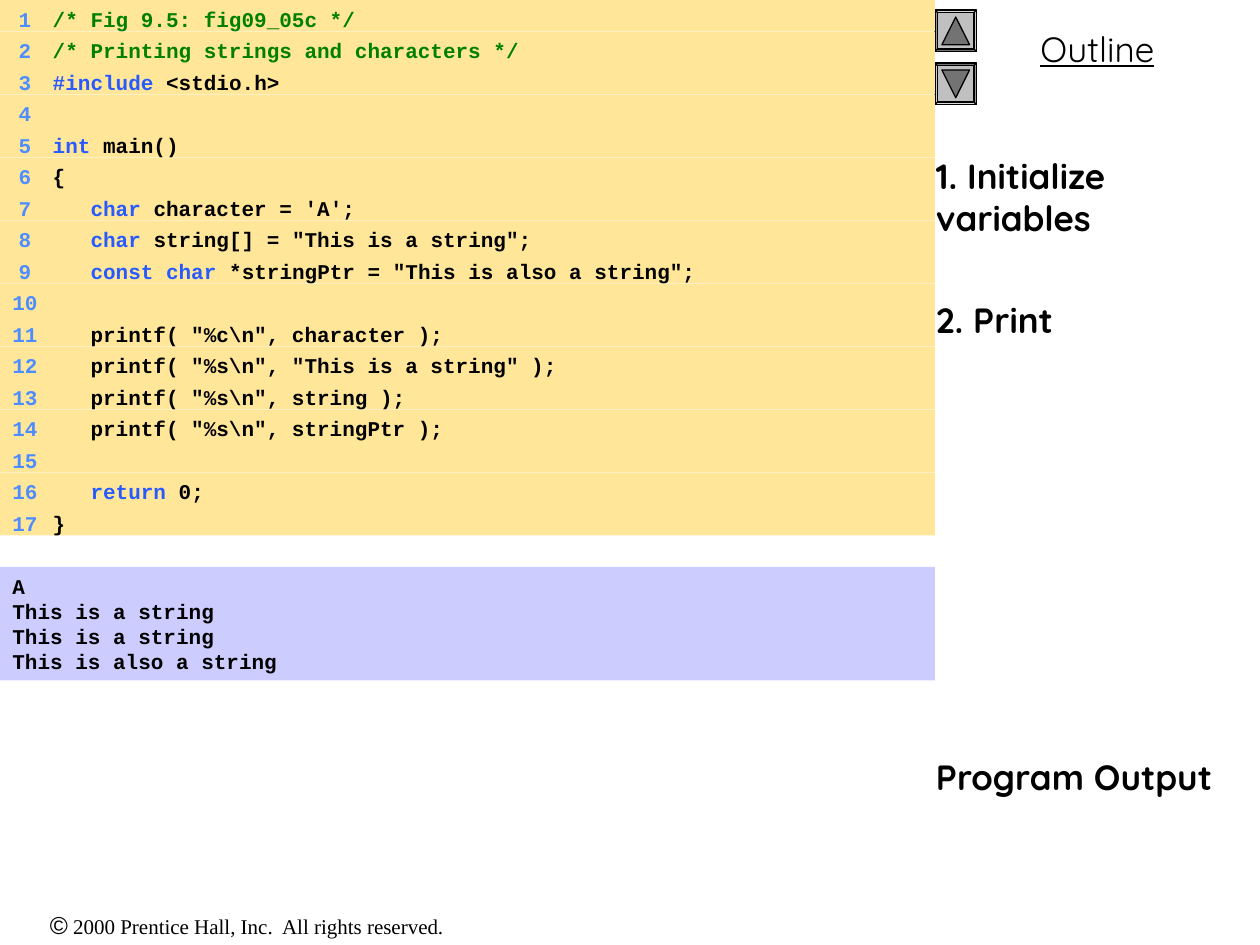
from pptx import Presentation
from pptx.dml.color import RGBColor
from pptx.enum.shapes import MSO_SHAPE
from pptx.enum.text import MSO_ANCHOR, PP_ALIGN
from pptx.oxml.ns import qn
from pptx.util import Inches, Pt
from lxml.etree import SubElement

THEME = {
    "note": "008000", "key": "275AFF", "num": "4D8DFF", "ink": "000000",
    "code": "FFE699", "out": "CCCCFF", "face": "C0C0C0", "mark": "737373",
    "mono": "Courier New", "head": "Quicksand", "sans": "Arial", "serif": "Times New Roman",
    "small": 12, "sign": 14, "large": 20,
}

CODE = [
    [("note", "/* Fig 9.5: fig09_05c */")],
    [("note", "/* Printing strings and characters */")],
    [("key", "#include"), ("ink", " <stdio.h>")],
    [],
    [("key", "int"), ("ink", " main()")],
    [("ink", "{")],
    [("key", "   char"), ("ink", " character = 'A';")],
    [("key", "   char"), ("ink", " string[] = \"This is a string\";")],
    [("key", "   const char"), ("ink", " *stringPtr = \"This is also a string\";")],
    [],
    [("ink", "   printf( \"%c\\n\", character );")],
    [("ink", "   printf( \"%s\\n\", \"This is a string\" );")],
    [("ink", "   printf( \"%s\\n\", string );")],
    [("ink", "   printf( \"%s\\n\", stringPtr );")],
    [],
    [("key", "   return"), ("ink", " 0;")],
    [("ink", "}")],
]
OUTPUT = ["A", "This is a string", "This is a string", "This is also a string"]
STEPS = [("1. Initialize variables", 0), ("2. Print", 34), ("Program Output", 237)]
BUTTONS = [(0.08, 90, 0), (0.5, 270, 180)]
TABS = [(0.15, "r"), (0.32, "l")]
WIDE, ROW = 7.42, 0.25


def tint(name):
    return RGBColor.from_string(THEME[name])


def style(run, face, size, ink="ink", bold=False):
    font = run.font
    font.name, font.size, font.bold = THEME[face], Pt(THEME[size]), bold
    font.color.rgb = tint(ink)


def add_run(para, text, face, size, ink="ink", bold=False):
    run = para.add_run()
    run.text = text
    style(run, face, size, ink, bold)
    return run


def add_form(parent, kind, area, fill, edge=False):
    form = parent.add_shape(kind, *map(Inches, area))
    form.shadow.inherit = False
    form.fill.solid()
    form.fill.fore_color.rgb = tint(fill)
    if edge:
        form.line.color.rgb = tint("ink")
        form.line.width = Pt(0.75)
    else:
        form.line.fill.background()
    return form


def set_frame(form):
    frame = form.text_frame
    frame.word_wrap = True
    frame.vertical_anchor = MSO_ANCHOR.TOP
    return frame


def add_box(slide, area):
    return set_frame(slide.shapes.add_textbox(*map(Inches, area)))


def set_tabs(para):
    stops = SubElement(para._p.get_or_add_pPr(), qn("a:tabLst"))
    for pos, side in TABS:
        SubElement(stops, qn("a:tab"), pos=str(Inches(pos)), algn=side)


def add_code(slide):
    group = slide.shapes.add_group_shape()
    for num, parts in enumerate(CODE, 1):
        area = (0, (num - 1) * ROW, WIDE, ROW)
        form = add_form(group.shapes, MSO_SHAPE.RECTANGLE, area, "code")
        para = set_frame(form).paragraphs[0]
        para.alignment = PP_ALIGN.LEFT
        set_tabs(para)
        for ink, text in [("num", f"\t{num}\t")] + parts:
            add_run(para, text, "mono", "small", ink, True)


def add_output(slide):
    form = add_form(slide.shapes, MSO_SHAPE.RECTANGLE, (0, 4.5, WIDE, 0.9), "out")
    frame = set_frame(form)
    frame.text = "\n".join(OUTPUT)
    for para in frame.paragraphs:
        para.alignment = PP_ALIGN.LEFT
        style(para.runs[0], "mono", "small", bold=True)


def add_steps(slide):
    frame = add_box(slide, (7.33, 0.83, 2.67, 6.67))
    frame.margin_top = Inches(0.4)
    frame.text = "\n".join(text for text, gap in STEPS)
    for para, (text, gap) in zip(frame.paragraphs, STEPS):
        para.line_spacing = Pt(24)
        if gap:
            para.space_before = Pt(gap)
        style(para.runs[0], "head", "large", bold=True)


def add_buttons(slide):
    side, tip = 0.33, 0.22
    pad = (side - tip) / 2
    for top, turn, flip in BUTTONS:
        group = slide.shapes.add_group_shape()
        face = add_form(group.shapes, MSO_SHAPE.BEVEL, (WIDE, top, side, side), "face", True)
        face.adjustments[0] = 0.06
        face.rotation = turn
        area = (WIDE + pad, top + pad, tip, tip)
        mark = add_form(group.shapes, MSO_SHAPE.ISOSCELES_TRIANGLE, area, "mark", True)
        mark.rotation = flip


def add_labels(slide):
    foot = add_box(slide, (0, 7.17, 3.92, 0.34)).paragraphs[0]
    foot.alignment = PP_ALIGN.CENTER
    add_run(foot, "©", "sans", "sign")
    add_run(foot, " 2000 Prentice Hall, Inc.  All rights reserved.", "serif", "small")
    head = add_box(slide, (WIDE, 0.17, 2.58, 0.44)).paragraphs[0]
    head.alignment = PP_ALIGN.CENTER
    add_run(head, "Outline", "head", "large").font.underline = True


def main():
    deck = Presentation()
    deck.slide_width, deck.slide_height = Inches(10), Inches(7.5)
    slide = deck.slides.add_slide(deck.slide_layouts[6])
    for build in (add_labels, add_buttons, add_steps, add_code, add_output):
        build(slide)
    deck.save("out.pptx")


if __name__ == "__main__":
    main()
